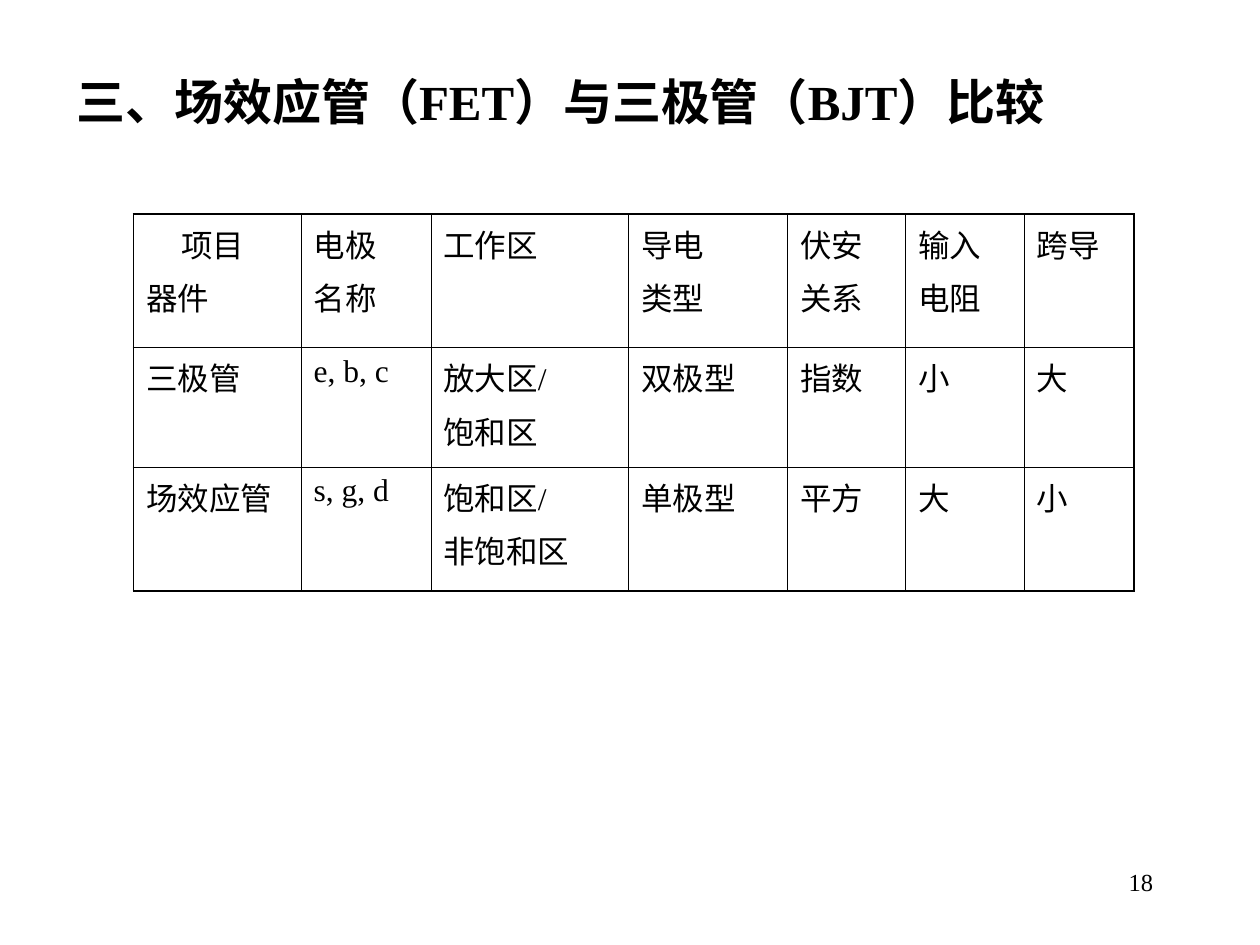
from dataclasses import dataclass

from lxml import etree
from pptx import Presentation
from pptx.dml.color import RGBColor
from pptx.enum.text import PP_ALIGN
from pptx.oxml.ns import qn
from pptx.util import Inches, Pt

LEFT, RIGHT = PP_ALIGN.LEFT, PP_ALIGN.RIGHT
COLORS = {"ink": "000000"}
FONT = "Times New Roman"
THIN, THICK = Pt(0.45), Pt(1.08)
COL_WIDTHS = [1.33, 1.03, 1.57, 1.26, 0.94, 0.94, 0.87]
ROW_HEIGHTS = [1.06, 0.95, 0.98]
ROWS = [
    ["项目\n器件", "电极\n名称", "工作区", "导电\n类型", "伏安\n关系", "输入\n电阻", "跨导"],
    ["三极管", "e, b, c", "放大区/\n饱和区", "双极型", "指数", "小", "大"],
    ["场效应管", "s, g, d", "饱和区/\n非饱和区", "单极型", "平方", "大", "小"],
]


@dataclass
class Label:
    text: str
    box: tuple[float, float, float, float]
    size: float
    bold: bool = False
    align: PP_ALIGN = LEFT
    hanging: float = 0


LABELS = [
    Label("18", (7.17, 6.83, 2.08, 0.5), 14, align=RIGHT),
    Label("三、场效应管（FET）与三极管（BJT）比较", (0.51, 0.52, 8.2, 0.66), 28,
          bold=True, hanging=0.38),
]


def set_indent(p, left: float, first: float = 0) -> None:
    """Set the left margin and first-line indent of a paragraph."""
    pPr = p._p.get_or_add_pPr()
    pPr.set("marL", str(Inches(left)))
    pPr.set("indent", str(Inches(first)))


def write(tf, text: str, size: float, bold: bool = False, align: PP_ALIGN = LEFT) -> None:
    """Fill a text frame with one paragraph per line of text."""
    fmt = {"name": FONT, "size": Pt(size), "bold": bold}
    for i, line in enumerate(text.split("\n")):
        p = tf.add_paragraph() if i else tf.paragraphs[0]
        p.alignment = align
        if i:
            p.space_before = Pt(4.5)
        r = p.add_run()
        r.text = line
        for name, value in fmt.items():
            setattr(r.font, name, value)
        r.font.color.rgb = RGBColor.from_string(COLORS["ink"])


def add_label(s, label: Label) -> None:
    """Add a wrapped text box for a label."""
    sp = s.shapes.add_textbox(*map(Inches, label.box))
    tf = sp.text_frame
    tf.word_wrap = True
    write(tf, label.text, label.size, label.bold, label.align)
    if label.hanging:
        set_indent(tf.paragraphs[0], label.hanging, -label.hanging)


def set_borders(cell, widths: dict[str, int]) -> None:
    """Draw the solid borders of a table cell."""
    tcPr = cell._tc.get_or_add_tcPr()
    for i, (tag, width) in enumerate(widths.items()):
        ln = etree.Element(qn(f"a:{tag}"), w=str(width))
        fill = etree.SubElement(ln, qn("a:solidFill"))
        etree.SubElement(fill, qn("a:srgbClr"), val=COLORS["ink"])
        tcPr.insert(i, ln)


def add_comparison_table(s) -> None:
    """Add the transistor comparison table with a heavier outer frame."""
    last_row, last_col = len(ROWS) - 1, len(COL_WIDTHS) - 1
    frame = s.shapes.add_table(
        len(ROWS), len(COL_WIDTHS), Inches(1.06), Inches(1.7),
        Inches(sum(COL_WIDTHS)), Inches(sum(ROW_HEIGHTS)))
    table = frame.table
    table.first_row = table.horz_banding = False
    for col, width in zip(table.columns, COL_WIDTHS):
        col.width = Inches(width)
    for i, (row, height) in enumerate(zip(table.rows, ROW_HEIGHTS)):
        row.height = Inches(height)
        for j, cell in enumerate(row.cells):
            write(cell.text_frame, ROWS[i][j], 18)
            cell.fill.background()
            set_borders(cell, {
                "lnL": THICK if j == 0 else THIN,
                "lnR": THICK if j == last_col else THIN,
                "lnT": THICK if i == 0 else THIN,
                "lnB": THICK if i == last_row else THIN,
            })
    set_indent(table.cell(0, 0).text_frame.paragraphs[0], 0.28)


def main() -> None:
    """Build the slide and save it."""
    prs = Presentation()
    prs.slide_width, prs.slide_height = Inches(10), Inches(7.5)
    s = prs.slides.add_slide(prs.slide_layouts[6])
    for label in LABELS:
        add_label(s, label)
    add_comparison_table(s)
    prs.save("out.pptx")


if __name__ == "__main__":
    main()
